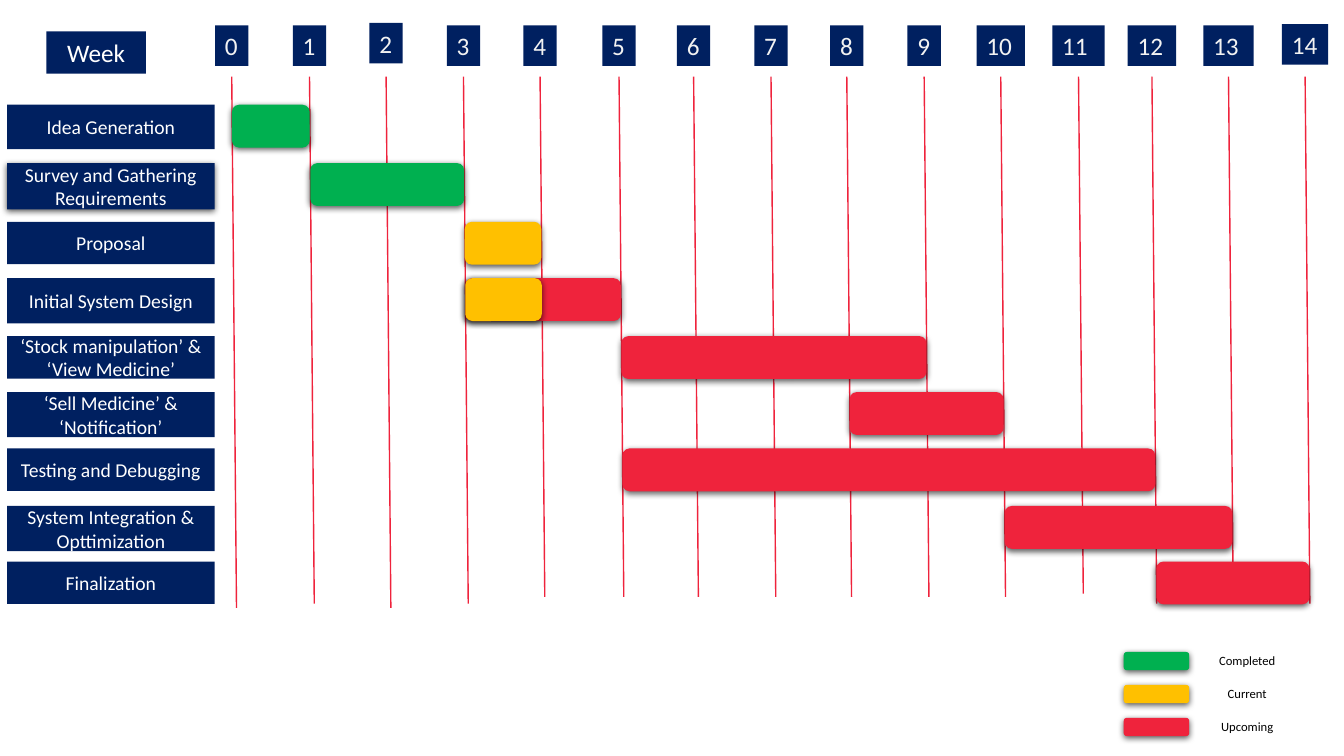
from lxml.etree import SubElement
from pptx import Presentation
from pptx.dml.color import RGBColor
from pptx.enum.shapes import MSO_CONNECTOR as Connector, MSO_SHAPE as Shape
from pptx.enum.text import MSO_ANCHOR as Anchor, PP_ALIGN as Align
from pptx.oxml.ns import qn
from pptx.util import Cm, Pt

COLORS = {
    "navy": "002060",
    "completed": "00B050",
    "current": "FFC000",
    "upcoming": "EF233C",
    "week text": "F2F2F2",
    "white": "FFFFFF",
    "black": "000000",
}
WEEKS = [
    # line x, line bottom, box top, box width
    (5.84, 15.32, 0.64, 0.84),
    (7.8, 15.21, 0.64, 0.84),
    (9.73, 15.32, 0.58, 0.84),
    (11.68, 15.21, 0.64, 0.84),
    (13.61, 15.04, 0.64, 0.84),
    (15.6, 15.04, 0.64, 0.84),
    (17.48, 15.04, 0.64, 0.84),
    (19.43, 15.04, 0.64, 0.84),
    (21.34, 15.04, 0.64, 0.84),
    (23.29, 15.04, 0.64, 0.84),
    (25.22, 15.04, 0.64, 1.22),
    (27.18, 14.96, 0.64, 1.32),
    (29.03, 15.21, 0.64, 1.22),
    (30.96, 15.21, 0.64, 1.27),
    (32.89, 15.21, 0.61, 1.17),
]
TASKS = [
    ("Idea Generation", 2.64, 1.12, [(0, 1, "completed")]),
    ("Survey and Gathering Requirements", 4.11, 1.17, [(1, 3, "completed")]),
    ("Proposal", 5.59, 1.07, [(3, 4, "current")]),
    ("Initial System Design", 7.01, 1.14, [(3, 5, "upcoming"), (3, 4, "current")]),
    ("‘Stock manipulation’ & ‘View Medicine’", 8.47, 1.07, [(5, 9, "upcoming")]),
    ("‘Sell Medicine’ & ‘Notification’", 9.88, 1.14, [(8, 10, "upcoming")]),
    ("Testing and Debugging", 11.3, 1.07, [(5, 12, "upcoming")]),
    ("System Integration & Opttimization", 12.75, 1.14, [(10, 13, "upcoming")]),
    ("Finalization", 14.15, 1.07, [(12, 14, "upcoming")]),
]
SHADOWED_TASK = "Survey and Gathering Requirements"
LEGEND = ["Completed", "Current", "Upcoming"]
LINE_TOP, LINE_SHIFT, LINE_LENGTH = 1.93, 0.12, 13.2
BAR_HEIGHT = 1.08
LEGEND_TOP, LEGEND_STEP = 16.43, 0.83


def add_text(shape, text, size=14, color="white", align=Align.CENTER,
             anchor=Anchor.MIDDLE, wrap=True):
    frame = shape.text_frame
    frame.word_wrap = wrap
    frame.vertical_anchor = anchor
    paragraph = frame.paragraphs[0]
    paragraph.alignment = align
    run = paragraph.add_run()
    run.text = text
    run.font.name = "Calibri"
    run.font.size = Pt(size)
    run.font.color.rgb = RGBColor.from_string(COLORS[color])


def add_block(slide, kind, box, color, shadow=False):
    shape = slide.shapes.add_shape(kind, *map(Cm, box))
    shape.fill.solid()
    shape.fill.fore_color.rgb = RGBColor.from_string(COLORS[color])
    shape.line.fill.background()
    shape.shadow.inherit = False
    if shadow:
        effects = shape._element.spPr.find(qn("a:effectLst"))
        outer = SubElement(effects, qn("a:outerShdw"), blurRad="57150",
                           dist="19050", dir="5400000", algn="ctr", rotWithShape="0")
        tint = SubElement(outer, qn("a:srgbClr"), val=COLORS["black"])
        SubElement(tint, qn("a:alpha"), val="63000")
    return shape


def add_week_line(slide, x, bottom):
    line = slide.shapes.add_connector(
        Connector.STRAIGHT, Cm(x), Cm(LINE_TOP), Cm(x + LINE_SHIFT), Cm(bottom))
    line.line.color.rgb = RGBColor.from_string(COLORS["upcoming"])
    line.line.width = Pt(1)
    SubElement(line._element.spPr, qn("a:effectLst"))


def week_x(week, top):
    return WEEKS[week][0] + LINE_SHIFT * (top - LINE_TOP) / LINE_LENGTH


def main():
    presentation = Presentation()
    presentation.slide_width, presentation.slide_height = Cm(33.87), Cm(19.05)
    slide = presentation.slides.add_slide(presentation.slide_layouts[6])

    heading = add_block(slide, Shape.RECTANGLE, (1.17, 0.79, 2.51, 1.07), "navy")
    add_text(heading, "Week", size=18)

    for week, (x, bottom, top, width) in enumerate(WEEKS):
        add_week_line(slide, x, bottom)
        box = add_block(slide, Shape.RECTANGLE, (x - width / 2, top, width, 1.02), "navy")
        add_text(box, str(week), size=18, color="week text", align=Align.LEFT,
                 anchor=Anchor.TOP, wrap=False)

    for name, top, height, bars in TASKS:
        label = add_block(slide, Shape.RECTANGLE, (0.18, top, 5.23, height), "navy",
                          shadow=name == SHADOWED_TASK)
        add_text(label, name)
        for start, end, status in bars:
            left, right = week_x(start, top), week_x(end, top)
            add_block(slide, Shape.ROUNDED_RECTANGLE,
                      (left, top, right - left, BAR_HEIGHT), status, shadow=True)

    for row, name in enumerate(LEGEND):
        top = LEGEND_TOP + row * LEGEND_STEP
        add_block(slide, Shape.ROUNDED_RECTANGLE, (28.32, top, 1.65, 0.46),
                  name.lower(), shadow=True)
        caption = slide.shapes.add_textbox(Cm(30.4), Cm(top - 0.2), Cm(2.06), Cm(0.84))
        add_text(caption, name, size=9, color="black")

    presentation.save("out.pptx")


if __name__ == "__main__":
    main()
